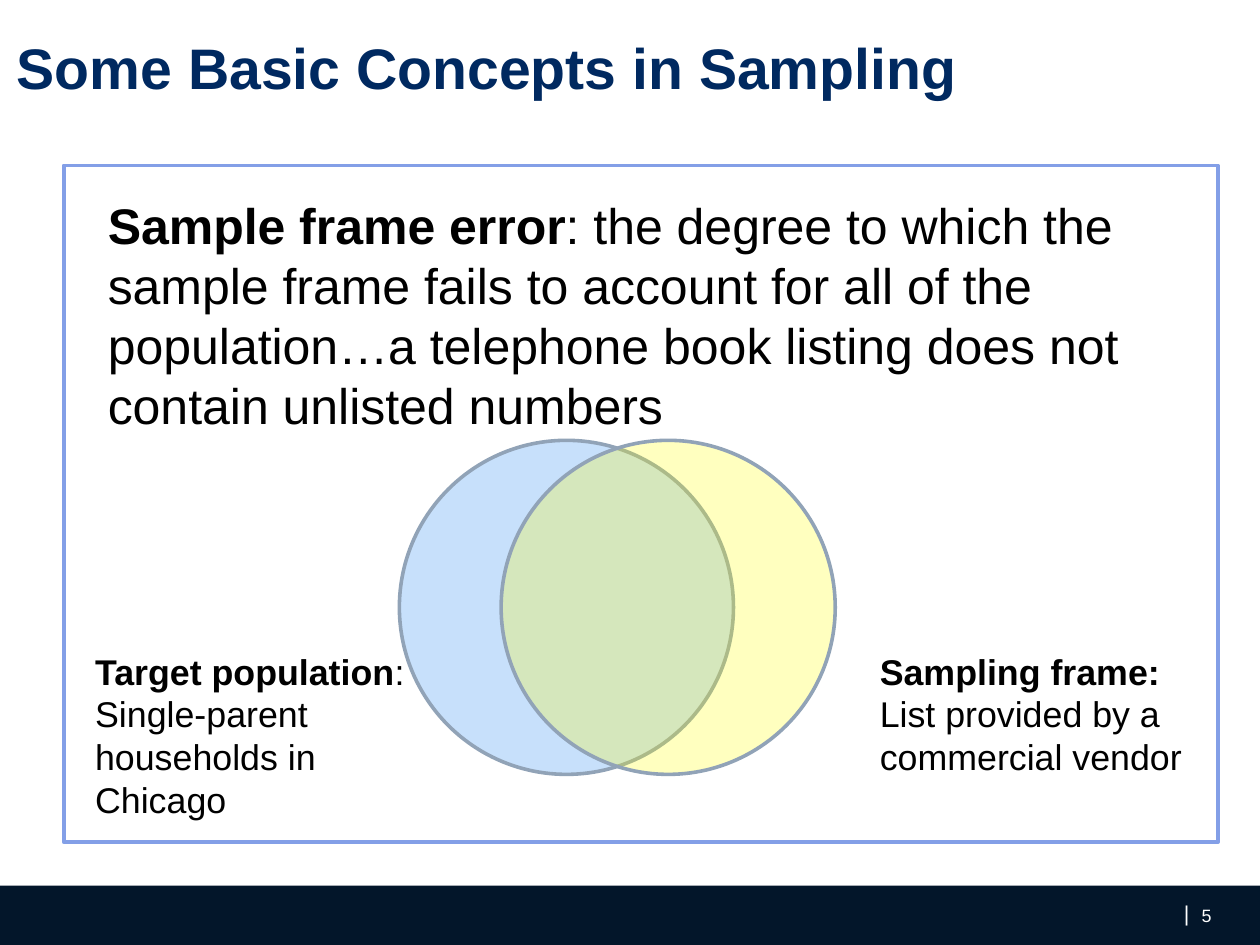
from dataclasses import dataclass
from typing import Optional

from lxml import etree
from pptx import Presentation
from pptx.dml.color import RGBColor
from pptx.enum import shapes, text
from pptx.oxml import ns
from pptx.util import Cm, Pt

WHITE = RGBColor(0xFF, 0xFF, 0xFF)
BLACK = RGBColor(0x00, 0x00, 0x00)
TITLE_BLUE = RGBColor(0x00, 0x29, 0x60)
FOOTER_NAVY = RGBColor(0x03, 0x16, 0x2A)
PANEL_BLUE = RGBColor(0x83, 0x9F, 0xE7)
CIRCLE_EDGE = RGBColor(0x91, 0xA3, 0xB7)
POPULATION_BLUE = RGBColor(0xC7, 0xE0, 0xFB)
FRAME_YELLOW = RGBColor(0xFF, 0xFF, 0x00)

FONT = "Arial"
WIDTH, HEIGHT = 24.89, 18.67
FOOTER_TOP = 17.5
CIRCLE_TOP, CIRCLE_SIZE = 8.7, 6.6
LABEL_TOP = 12.7

Box = tuple[float, float, float, float]  # left, top, width, height in cm
Run = tuple[str, bool]  # wording, bold


@dataclass
class Figure:
    kind: shapes.MSO_SHAPE
    box: Box
    fill: RGBColor
    line: Optional[RGBColor] = None
    opacity: int = 100


@dataclass
class Label:
    box: Box
    size: int
    paragraphs: list[list[Run]]
    color: RGBColor = BLACK
    padded: bool = True
    align: text.PP_ALIGN = text.PP_ALIGN.LEFT
    wrap: bool = True


def draw_figure(slide, fig: Figure) -> None:
    sp = slide.shapes.add_shape(fig.kind, *map(Cm, fig.box))
    sp.shadow.inherit = False
    sp.fill.solid()
    sp.fill.fore_color.rgb = fig.fill
    if fig.opacity < 100:
        color = sp.element.spPr.find(ns.qn("a:solidFill")).find(ns.qn("a:srgbClr"))
        etree.SubElement(color, ns.qn("a:alpha"), val=str(fig.opacity * 1000))
    if fig.line is None:
        sp.line.fill.background()
    else:
        sp.line.color.rgb = fig.line
        sp.line.width = Pt(2)


def draw_label(slide, label: Label) -> None:
    tf = slide.shapes.add_textbox(*map(Cm, label.box)).text_frame
    tf.word_wrap = label.wrap
    tf.margin_left = tf.margin_right = Cm(0.25 if label.padded else 0)
    tf.margin_top = tf.margin_bottom = Cm(0.13 if label.padded else 0)
    for i, runs in enumerate(label.paragraphs):
        p = tf.paragraphs[0] if i == 0 else tf.add_paragraph()
        p.alignment = label.align
        for wording, bold in runs:
            r = p.add_run()
            r.text = wording
            r.font.name = FONT
            r.font.size = Pt(label.size)
            r.font.bold = bold
            r.font.color.rgb = label.color


RECT, OVAL = shapes.MSO_SHAPE.RECTANGLE, shapes.MSO_SHAPE.OVAL

FIGURES = [
    # Footer band and content panel
    Figure(RECT, (0, FOOTER_TOP, WIDTH, HEIGHT - FOOTER_TOP), FOOTER_NAVY),
    Figure(RECT, (1.26, 3.27, 22.8, 13.37), WHITE, PANEL_BLUE),
    # Overlapping circles: target population and sampling frame
    Figure(OVAL, (7.89, CIRCLE_TOP, CIRCLE_SIZE, CIRCLE_SIZE),
           POPULATION_BLUE, CIRCLE_EDGE),
    Figure(OVAL, (9.9, CIRCLE_TOP, CIRCLE_SIZE, CIRCLE_SIZE),
           FRAME_YELLOW, CIRCLE_EDGE, opacity=25),
]

LABELS = [
    # Title
    Label((0.33, 0.64, 23.95, 1.37), 32,
          [[("Some Basic Concepts in Sampling", True)]],
          TITLE_BLUE, padded=False),
    # Definition
    Label((1.88, 3.71, 21.77, 6.25), 28,
          [[("Sample frame error", True),
            (": the degree to which the sample frame fails to account for "
             "all of the population…a telephone book listing does not "
             "contain unlisted numbers", False)]]),
    # Circle labels
    Label((1.63, LABEL_TOP, 7.06, 3.68), 20,
          [[("Target population", True),
            (": Single-parent households in Chicago", False)]]),
    Label((17.13, LABEL_TOP, 6.73, 2.82), 20,
          [[("Sampling frame:", True)],
           [("List provided by a commercial vendor", False)]]),
    # Page number
    Label((23.39, 17.78, 0.1, 0.51), 12, [[("|", False)]], WHITE,
          padded=False, align=text.PP_ALIGN.RIGHT, wrap=False),
    Label((23.74, 17.88, 0.53, 0.43), 10, [[("5", False)]], WHITE,
          padded=False),
]


def main() -> None:
    prs = Presentation()
    prs.slide_width, prs.slide_height = Cm(WIDTH), Cm(HEIGHT)
    s = prs.slides.add_slide(prs.slide_layouts[6])
    for fig in FIGURES:
        draw_figure(s, fig)
    for label in LABELS:
        draw_label(s, label)
    prs.save("out.pptx")


if __name__ == "__main__":
    main()
